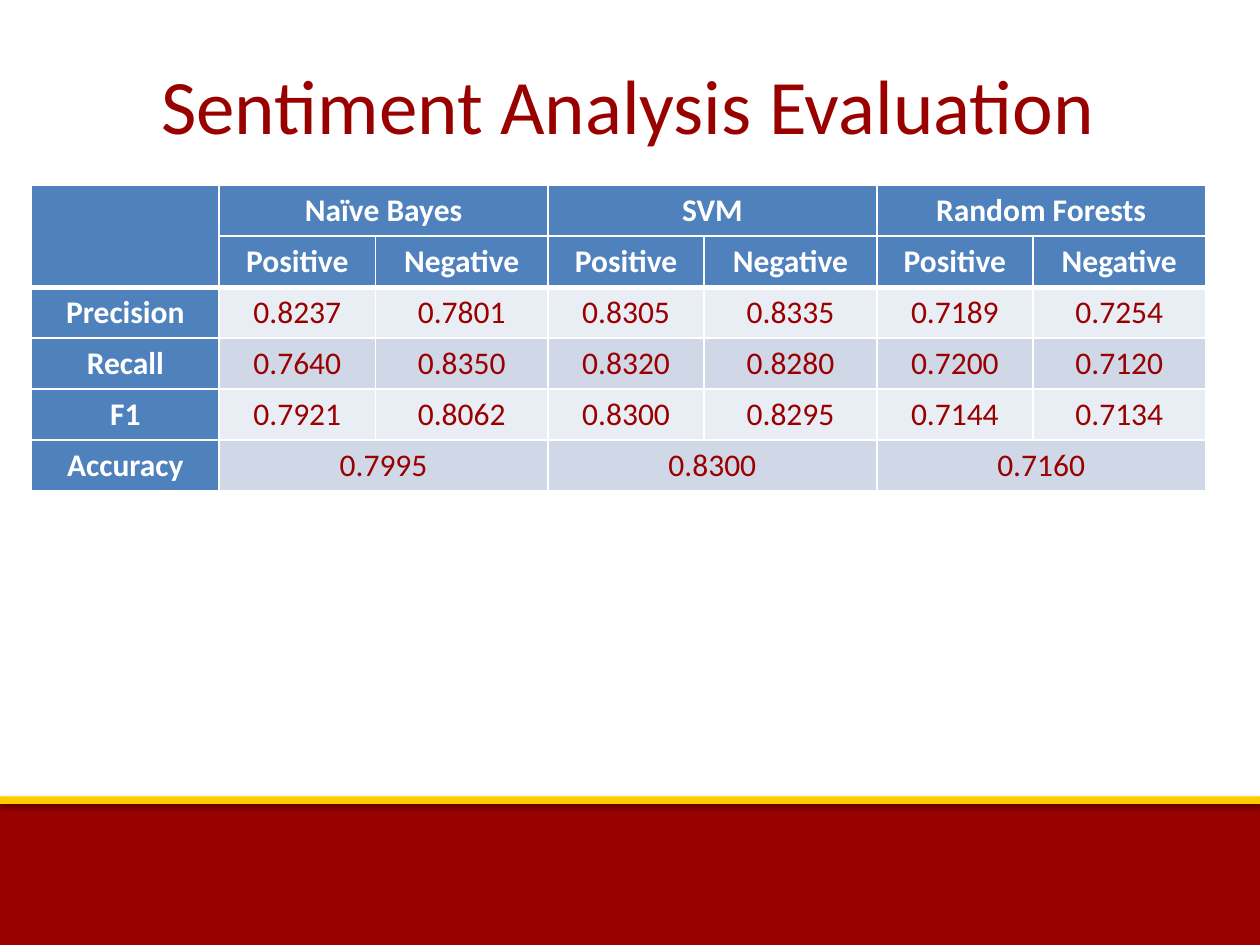
from lxml import etree
from pptx import Presentation
from pptx import util as u
from pptx.dml.color import RGBColor
from pptx.enum import shapes, text
from pptx.oxml.ns import qn

COLORS = {"red": "990000", "gold": "FFCC00", "blue": "4F81BD", "white": "FFFFFF",
          "light": "E9EDF4", "dark": "D0D8E8", "black": "000000"}
COLUMNS, ROWS = 100, 75
MODELS = {"Naïve Bayes": "0.7995", "SVM": "0.8300", "Random Forests": "0.7160"}
SCORES = {
    "Precision": ["0.8237", "0.7801", "0.8305", "0.8335", "0.7189", "0.7254"],
    "Recall": ["0.7640", "0.8350", "0.8320", "0.8280", "0.7200", "0.7120"],
    "F1": ["0.7921", "0.8062", "0.8300", "0.8295", "0.7144", "0.7134"],
}


def rgb(name):
    """Return the named colour."""
    return RGBColor.from_string(COLORS[name])


def add_color(parent, name):
    """Append a colour element to an XML parent and return it."""
    return etree.SubElement(parent, qn("a:srgbClr"), val=COLORS[name])


class Board:
    """Holds the style and the current slide; lengths are grid columns and rows."""

    font = "Calibri"

    def __init__(self, deck):
        """Add a blank page and work out the grid unit."""
        self.page = deck.slides.add_slide(deck.slide_layouts[6])
        self.column = deck.slide_width / COLUMNS
        self.row = deck.slide_height / ROWS

    def place(self, left, top, width, height):
        """Turn grid lengths into slide lengths."""
        return (u.Emu(round(left * self.column)), u.Emu(round(top * self.row)),
                u.Emu(round(width * self.column)), u.Emu(round(height * self.row)))

    def set_words(self, para, words, size, color, bold=False):
        """Fill a centred paragraph."""
        para.text = words
        para.alignment = text.PP_ALIGN.CENTER
        para.font.name, para.font.size, para.font.bold = self.font, u.Pt(size), bold
        para.font.color.rgb = rgb(color)

    def band(self, top, height, color, opacity, distance):
        """Draw a full-width band with a soft shadow below it."""
        box = self.page.shapes.add_shape(
            shapes.MSO_SHAPE.RECTANGLE, *self.place(0, top, COLUMNS, height))
        box.fill.solid()
        box.fill.fore_color.rgb = rgb(color)
        box.line.fill.background()
        box.shadow.inherit = False
        effects = box.element.spPr.find(qn("a:effectLst"))
        shadow = etree.SubElement(
            effects, qn("a:outerShdw"), blurRad=str(u.Pt(3.1)),
            dist=str(u.Pt(distance)), dir="5400000", rotWithShape="0")
        etree.SubElement(add_color(shadow, "black"), qn("a:alpha"), val=str(opacity * 1000))

    def title(self, area, words):
        """Add the slide title."""
        frame = self.page.shapes.add_textbox(*self.place(*area)).text_frame
        frame.word_wrap = True
        frame.vertical_anchor = text.MSO_ANCHOR.MIDDLE
        self.set_words(frame.paragraphs[0], words, 44, "red")

    def table(self, area, widths, rows):
        """Add an empty table with the given column widths."""
        table = self.page.shapes.add_table(rows, len(widths), *self.place(*area)).table
        for column, width in zip(table.columns, widths):
            column.width = u.Emu(round(width * self.column))
        return table

    def cell(self, cell, words, fill, color="white", bold=True, top=1, bottom=1):
        """Fill one cell and rule its four sides in white."""
        cell.vertical_anchor = text.MSO_ANCHOR.MIDDLE
        self.set_words(cell.text_frame.paragraphs[0], words, 18, color, bold)
        cell.fill.solid()
        cell.fill.fore_color.rgb = rgb(fill)
        properties = cell._tc.get_or_add_tcPr()
        sides = {"L": 1, "R": 1, "T": top, "B": bottom}
        for index, (side, width) in enumerate(sides.items()):
            line = etree.Element(qn(f"a:ln{side}"), w=str(u.Pt(width)))
            add_color(etree.SubElement(line, qn("a:solidFill")), "white")
            properties.insert(index, line)


def fill_scores(board, table):
    """Fill in the headings, the scores and the accuracy row."""
    grid = [[""] + [words for model in MODELS for words in (model, "")],
            [""] + ["Positive", "Negative"] * len(MODELS)]
    grid += [[name, *values] for name, values in SCORES.items()]
    grid.append(["Accuracy"] + [words for value in MODELS.values() for words in (value, "")])
    for r, line in enumerate(grid):
        for c, words in enumerate(line):
            cell = table.cell(r, c)
            if r < 2 or c == 0:
                bottom = 3 if r == 1 or (r, c) == (0, 0) else 1
                board.cell(cell, words, "blue", bottom=bottom)
            else:
                board.cell(cell, words, "dark" if r % 2 else "light", "red", False,
                           top=3 if r == 2 else 1)
    table.cell(0, 0).merge(table.cell(1, 0))
    for r in (0, len(grid) - 1):
        for c in range(1, len(grid[0]), 2):
            table.cell(r, c).merge(table.cell(r, c + 1))


def main():
    """Build the slide and save it."""
    deck = Presentation()
    deck.slide_width, deck.slide_height = u.Inches(10), u.Inches(7.5)
    board = Board(deck)
    board.band(63.5, 11.5, "red", 35, 1.8)
    board.band(63.2, 0.6, "gold", 38, 1.6)
    board.title((2.5, 3.3, 94.7, 9.8), "Sentiment Analysis Evaluation")
    widths = [14.9] + [12.4, 13.7] * len(MODELS)
    table = board.table((2.5, 14.7, sum(widths), 24.3), widths, len(SCORES) + 3)
    fill_scores(board, table)
    deck.save("out.pptx")


main()
